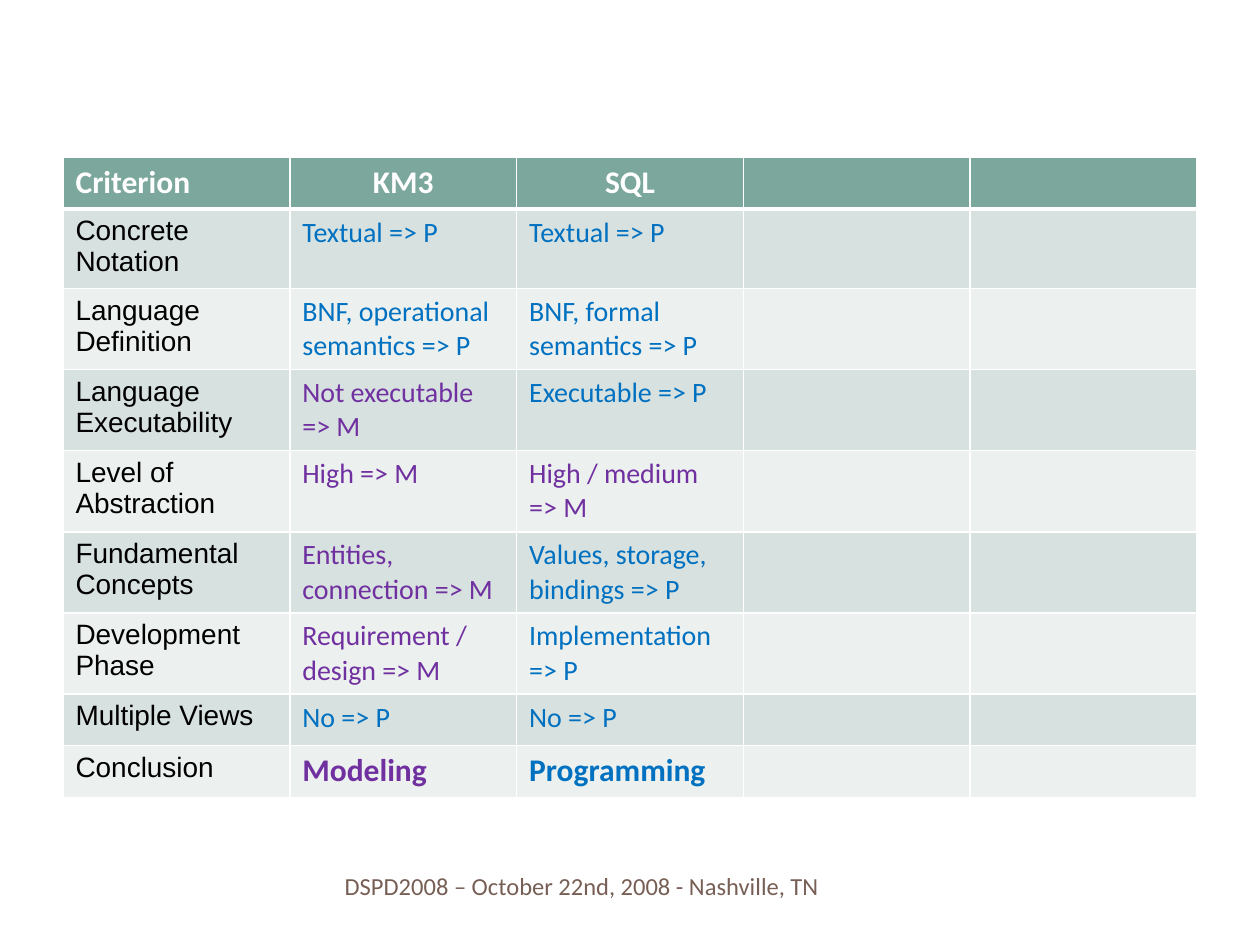
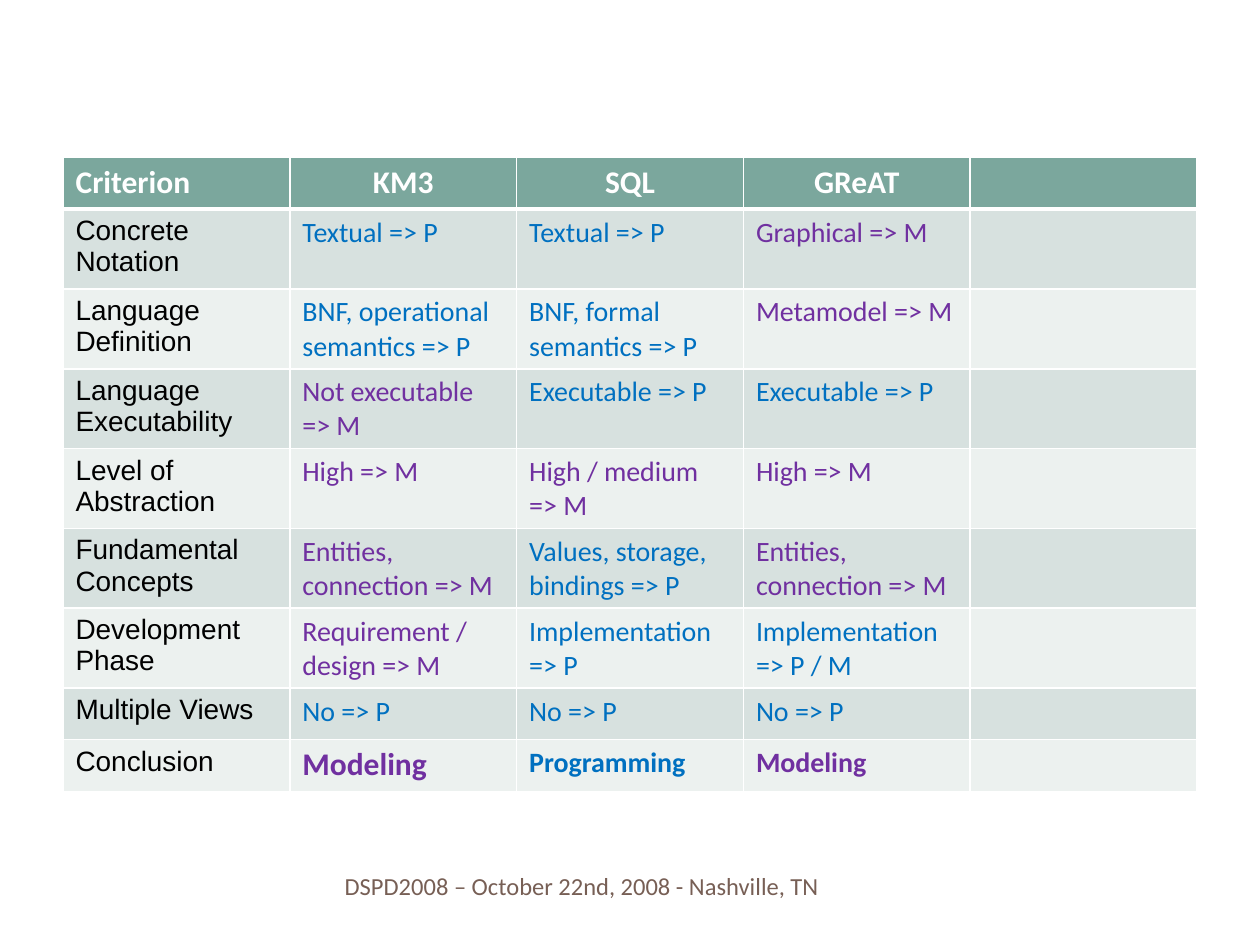
from pptx import Presentation
from pptx import util as u
from pptx.dml import color as col
from pptx.enum import text as t
from pptx.oxml import ns
from lxml import etree

HUES = {"head": "7BA79D", "dark": "D7E1DF", "light": "ECF1EF", "white": "FFFFFF",
        "black": "000000", "code": "0070C0", "model": "7030A0", "foot": "775F55"}
TERMS = ["Criterion", "Concrete Notation", "Language Definition",
         "Language Executability", "Level of Abstraction", "Fundamental Concepts",
         "Development Phase", "Multiple Views", "Conclusion"]
KM3 = ["KM3", "Textual => P", "BNF, operational semantics => P",
       "Not executable => M", "High => M", "Entities, connection => M",
       "Requirement / design => M", "No => P", "Modeling"]
SQL = ["SQL", "Textual => P", "BNF, formal semantics => P", "Executable => P",
       "High / medium => M", "Values, storage, bindings => P",
       "Implementation => P", "No => P", "Programming"]
GREAT = ["GReAT", "Graphical => M", "Metamodel => M", "Executable => P",
         "High => M", "Entities, connection => M", "Implementation => P / M",
         "No => P", "Modeling"]
FOOT = "DSPD2008 – October 22nd, 2008 - Nashville, TN"
COLS, LAST = 5, len(TERMS) - 1


class Deck:
    """Holds the style and the current slide."""

    def __init__(self):
        self.prs = Presentation()
        self.prs.slide_width = u.Inches(10)
        self.prs.slide_height = u.Inches(7.5)

    def page(self):
        self.slide = self.prs.slides.add_slide(self.prs.slide_layouts[6])

    def label(self, para, words, size, hue, face="Calibri", bold=False):
        run = para.add_run()
        run.text = words
        font = run.font
        font.size, font.name, font.bold = u.Pt(size), face, bold
        font.color.rgb = col.RGBColor.from_string(HUES[hue])

    def edge(self, cell, row):
        props = cell._tc.get_or_add_tcPr()
        wide = {"L": 1, "R": 1, "T": 3 if row == 1 else 1, "B": 3 if row == 0 else 1}
        for spot, (side, size) in enumerate(wide.items()):
            line = etree.Element(ns.qn(f"a:ln{side}"), w=str(u.Pt(size)))
            fill = etree.SubElement(line, ns.qn("a:solidFill"))
            etree.SubElement(fill, ns.qn("a:srgbClr"), val=HUES["white"])
            props.insert(spot, line)

    def cell(self, cell, row, pos, words, final):
        cell.fill.solid()
        hue = "head" if row == 0 else "dark" if row % 2 else "light"
        cell.fill.fore_color.rgb = col.RGBColor.from_string(HUES[hue])
        self.edge(cell, row)
        if not words:
            return
        para = cell.text_frame.paragraphs[0]
        if row == 0:
            para.alignment = t.PP_ALIGN.CENTER if pos else t.PP_ALIGN.LEFT
            self.label(para, words, 18, "white", bold=True)
        elif pos == 0:
            self.label(para, words, 16, "black", "Arial")
        else:
            hue = "model" if words.endswith(("=> M", "Modeling")) else "code"
            size = final[pos - 1] if row == LAST else 16
            self.label(para, words, size, hue, bold=row == LAST)

    def table(self, langs, final):
        grid = self.slide.shapes.add_table(
            len(TERMS), COLS, u.Inches(0.5), u.Inches(1.25),
            u.Inches(9), u.Inches(5.02)).table
        for band in grid.columns:
            band.width = u.Inches(1.8)
        for row, band in enumerate(grid.rows):
            band.height = u.Inches(0.63 if 0 < row < LAST - 1 else 0.41)
        lists = [TERMS] + langs
        for row in range(len(TERMS)):
            for pos in range(COLS):
                words = lists[pos][row] if pos < len(lists) else ""
                self.cell(grid.cell(row, pos), row, pos, words, final)

    def foot(self):
        frame = self.slide.shapes.add_textbox(
            u.Inches(0.67), u.Inches(6.83), u.Inches(5.93), u.Inches(0.4)).text_frame
        frame.word_wrap = True
        frame.vertical_anchor = t.MSO_ANCHOR.MIDDLE
        para = frame.paragraphs[0]
        para.alignment = t.PP_ALIGN.RIGHT
        self.label(para, FOOT, 14, "foot")


def main():
    deck = Deck()
    for langs, final in (([KM3, SQL], [18, 18]), ([KM3, SQL, GREAT], [18, 16, 16])):
        deck.page()
        deck.table(langs, final)
        deck.foot()
    deck.prs.save("out.pptx")


if __name__ == "__main__":
    main()
